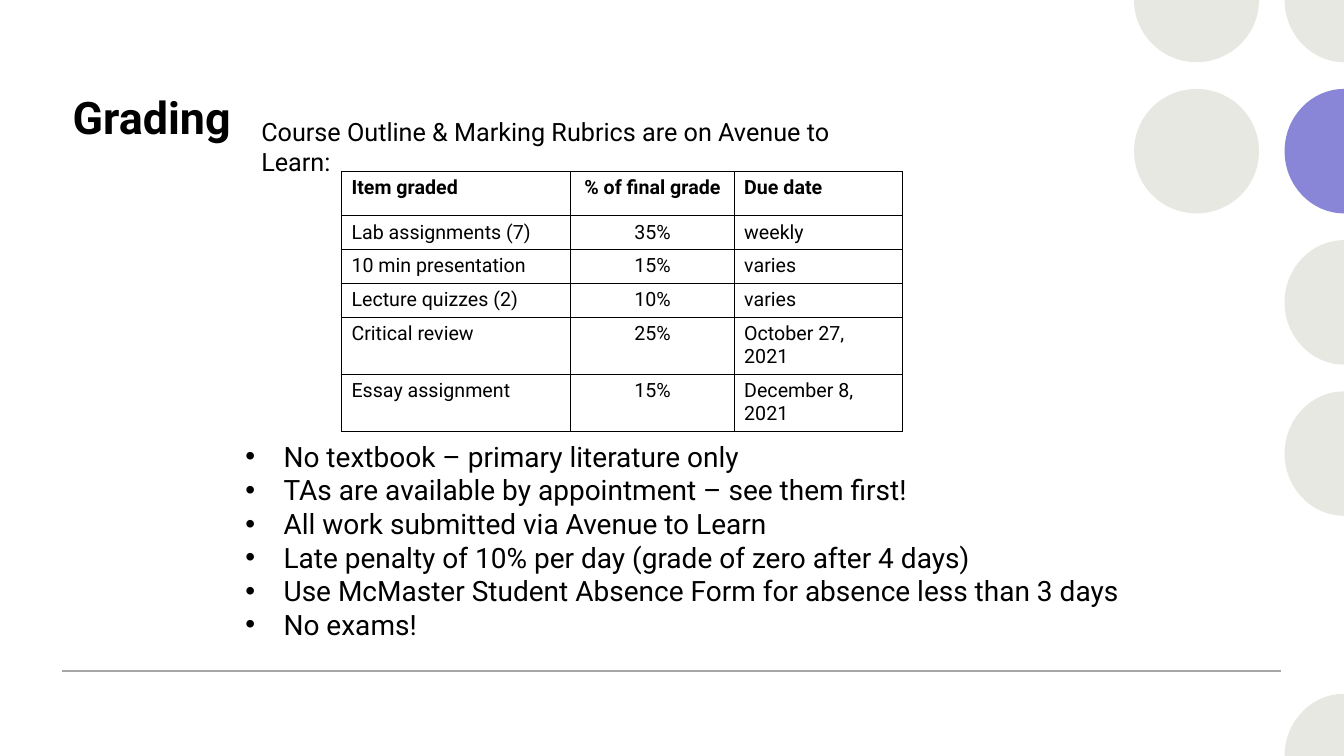
import itertools
from dataclasses import dataclass

import lxml.etree
import pptx
import pptx.dml.color
import pptx.enum.shapes
import pptx.enum.text
import pptx.oxml.ns
import pptx.util

COLOURS = {"text": "000000", "dot": "E8E8E2", "accent": "8985D7", "rule": "A6A6A6"}
FONT = "Roboto"
WIDTH = pptx.util.Inches(13.333)
HEIGHT = pptx.util.Inches(7.5)
LEFT = pptx.enum.text.PP_ALIGN.LEFT
CENTER = pptx.enum.text.PP_ALIGN.CENTER
qn = pptx.oxml.ns.qn


@dataclass(frozen=True)
class Area:
    """A rectangle in percent of the slide's width and height."""
    left: float
    top: float
    width: float
    height: float

    def box(self) -> tuple:
        return across(self.left), down(self.top), across(self.width), down(self.height)


@dataclass(frozen=True)
class DotColumn:
    center: float
    radius: float


@dataclass(frozen=True)
class Dot:
    """A circle, or the part of it that the unit anchors go round."""
    column: DotColumn
    row: int
    anchors: tuple = ()
    colour: str = "dot"


@dataclass(frozen=True)
class Column:
    width: float
    alignment: pptx.enum.text.PP_ALIGN = LEFT


INNER, EDGE = DotColumn(89.03, 4.65), DotColumn(100, 4.42)
DOT_ROW_STEP, DOT_RADIUS = 20, 8.23
ARC_HANDLE = 0.55
WEST, EAST, NORTH, SOUTH, MIDDLE = (-1, 0), (1, 0), (0, -1), (0, 1), (0, 0)
LEFT_HALF = (NORTH, WEST, SOUTH)
DOTS = [
    Dot(INNER, 1),
    Dot(INNER, 0, (WEST, SOUTH, EAST)),
    Dot(EDGE, 5, (NORTH, WEST, MIDDLE)),
    Dot(EDGE, 3, LEFT_HALF),
    Dot(EDGE, 2, LEFT_HALF),
    Dot(EDGE, 1, LEFT_HALF, "accent"),
    Dot(EDGE, 0, (WEST, SOUTH, MIDDLE)),
]

TITLE_AREA = Area(4.65, 11.2, 60.15, 18.53)
INTRO_AREA = Area(18.71, 14.97, 48.45, 8.8)
NOTES_AREA = Area(17.5, 57.45, 66.75, 28.27)
TABLE_AREA = Area(25.41, 22.67, 41.72, 28.13)
HEADER_HEIGHT, ROW_HEIGHT = 5.87, 3.47
RULE_LEFT, RULE_RIGHT, RULE_TOP = 4.65, 95.33, 88.75

COLUMNS = [Column(17.07), Column(12.15, CENTER), Column(12.5)]
GRADES = [
    ("Item graded", "% of final grade", "Due date"),
    ("Lab assignments (7)", "35%", "weekly"),
    ("10 min presentation", "15%", "varies"),
    ("Lecture quizzes (2)", "10%", "varies"),
    ("Critical review", "25%", "October 27, 2021"),
    ("Essay assignment", "15%", "December 8, 2021"),
]
NOTES = [
    "No textbook – primary literature only",
    "TAs are available by appointment – see them first!",
    "All work submitted via Avenue to Learn",
    "Late penalty of 10% per day (grade of zero after 4 days)",
    "Use McMaster Student Absence Form for absence less than 3 days",
    "No exams!",
]


def across(percent: float) -> int:
    return round(WIDTH * percent / 100)


def down(percent: float) -> int:
    return round(HEIGHT * percent / 100)


def colour(name: str) -> pptx.dml.color.RGBColor:
    return pptx.dml.color.RGBColor.from_string(COLOURS[name])


def add_run(paragraph, text: str, size: int, bold: bool = False) -> None:
    run = paragraph.add_run()
    run.text = text
    run.font.name = FONT
    run.font.size = pptx.util.Pt(size)
    run.font.bold = bold
    run.font.color.rgb = colour("text")


def place(shape, area: Area, anchor: pptx.enum.text.MSO_ANCHOR):
    """Position a text shape, set its frame and return the frame."""
    shape.left, shape.top, shape.width, shape.height = area.box()
    frame = shape.text_frame
    frame.word_wrap = True
    frame.auto_size = pptx.enum.text.MSO_AUTO_SIZE.NONE
    frame.vertical_anchor = anchor
    return frame


def add_cut_dot(slide, dot: Dot):
    """Outline part of a circle, with a quarter arc between rim anchors."""
    center_x, center_y = across(dot.column.center), down(DOT_ROW_STEP * dot.row)
    radius_x, radius_y = across(dot.column.radius), down(DOT_RADIUS)
    points = [(center_x + radius_x * x, center_y + radius_y * y) for x, y in dot.anchors]
    builder = slide.shapes.build_freeform(*points[0])
    builder.add_line_segments(points[1:], close=True)
    shape = builder.convert_to_shape()
    segments = list(shape._element.iter(qn("a:lnTo")))
    for segment, (start, end) in zip(segments, itertools.pairwise(dot.anchors)):
        if end == MIDDLE:
            continue
        handles = [[a + ARC_HANDLE * b for a, b in zip(near, far)]
                   for near, far in ((start, end), (end, start))]
        segment.tag = qn("a:cubicBezTo")
        for index, (x, y) in enumerate(handles):
            point = lxml.etree.Element(qn("a:pt"))
            point.set("x", str(round(center_x + radius_x * x - shape.left)))
            point.set("y", str(round(center_y + radius_y * y - shape.top)))
            segment.insert(index, point)
    return shape


def add_dot(slide, dot: Dot) -> None:
    if dot.anchors:
        shape = add_cut_dot(slide, dot)
    else:
        area = Area(dot.column.center - dot.column.radius,
                    DOT_ROW_STEP * dot.row - DOT_RADIUS,
                    2 * dot.column.radius, 2 * DOT_RADIUS)
        shape = slide.shapes.add_shape(pptx.enum.shapes.MSO_SHAPE.OVAL, *area.box())
    shape.shadow.inherit = False
    shape.fill.solid()
    shape.fill.fore_color.rgb = colour(dot.colour)
    shape.line.fill.background()


def add_rule(slide) -> None:
    rule = slide.shapes.add_connector(
        pptx.enum.shapes.MSO_CONNECTOR.STRAIGHT,
        across(RULE_LEFT), down(RULE_TOP), across(RULE_RIGHT), down(RULE_TOP))
    rule.line.color.rgb = colour("rule")
    rule.line.width = pptx.util.Pt(1)
    lxml.etree.SubElement(rule._element.spPr, qn("a:effectLst"))


def add_notes(placeholder) -> None:
    frame = place(placeholder, NOTES_AREA, pptx.enum.text.MSO_ANCHOR.TOP)
    indent = pptx.util.Inches(0.38)
    for index, note in enumerate(NOTES):
        paragraph = frame.add_paragraph() if index else frame.paragraphs[0]
        properties = paragraph._p.get_or_add_pPr()
        properties.set("marL", str(indent))
        properties.set("indent", str(-indent))
        lxml.etree.SubElement(properties, qn("a:buFont")).set("typeface", "Arial")
        lxml.etree.SubElement(properties, qn("a:buChar")).set("char", "•")
        paragraph.space_before = pptx.util.Pt(0)
        add_run(paragraph, note, 20)


def outline_cell(cell) -> None:
    properties = cell._tc.get_or_add_tcPr()
    for side in ("lnL", "lnR", "lnT", "lnB"):
        border = lxml.etree.SubElement(properties, qn(f"a:{side}"))
        border.set("w", str(pptx.util.Pt(1)))
        fill = lxml.etree.SubElement(border, qn("a:solidFill"))
        lxml.etree.SubElement(fill, qn("a:srgbClr")).set("val", COLOURS["text"])
    cell.fill.background()


def add_grades(slide) -> None:
    table = slide.shapes.add_table(len(GRADES), len(COLUMNS), *TABLE_AREA.box()).table
    table.first_row = table.horz_banding = False
    for index, column in enumerate(COLUMNS):
        table.columns[index].width = across(column.width)
    for row, values in enumerate(GRADES):
        table.rows[row].height = down(ROW_HEIGHT if row else HEADER_HEIGHT)
        for index, value in enumerate(values):
            cell = table.cell(row, index)
            outline_cell(cell)
            cell.margin_bottom = pptx.util.Pt(4)
            paragraph = cell.text_frame.paragraphs[0]
            paragraph.alignment = COLUMNS[index].alignment
            add_run(paragraph, value, 14, bold=row == 0)


def main() -> None:
    presentation = pptx.Presentation()
    presentation.slide_width, presentation.slide_height = WIDTH, HEIGHT
    slide = presentation.slides.add_slide(presentation.slide_layouts[1])
    for dot in DOTS:
        add_dot(slide, dot)
    add_rule(slide)
    title = place(slide.shapes.title, TITLE_AREA, pptx.enum.text.MSO_ANCHOR.TOP)
    title.paragraphs[0].alignment = LEFT
    add_run(title.paragraphs[0], "Grading", 32, bold=True)
    intro_box = slide.shapes.add_textbox(*INTRO_AREA.box())
    intro = place(intro_box, INTRO_AREA, pptx.enum.text.MSO_ANCHOR.MIDDLE)
    add_run(intro.paragraphs[0],
            "Course Outline & Marking Rubrics are on Avenue to Learn:", 18)
    add_notes(slide.placeholders[1])
    add_grades(slide)
    presentation.save("out.pptx")


if __name__ == "__main__":
    main()
